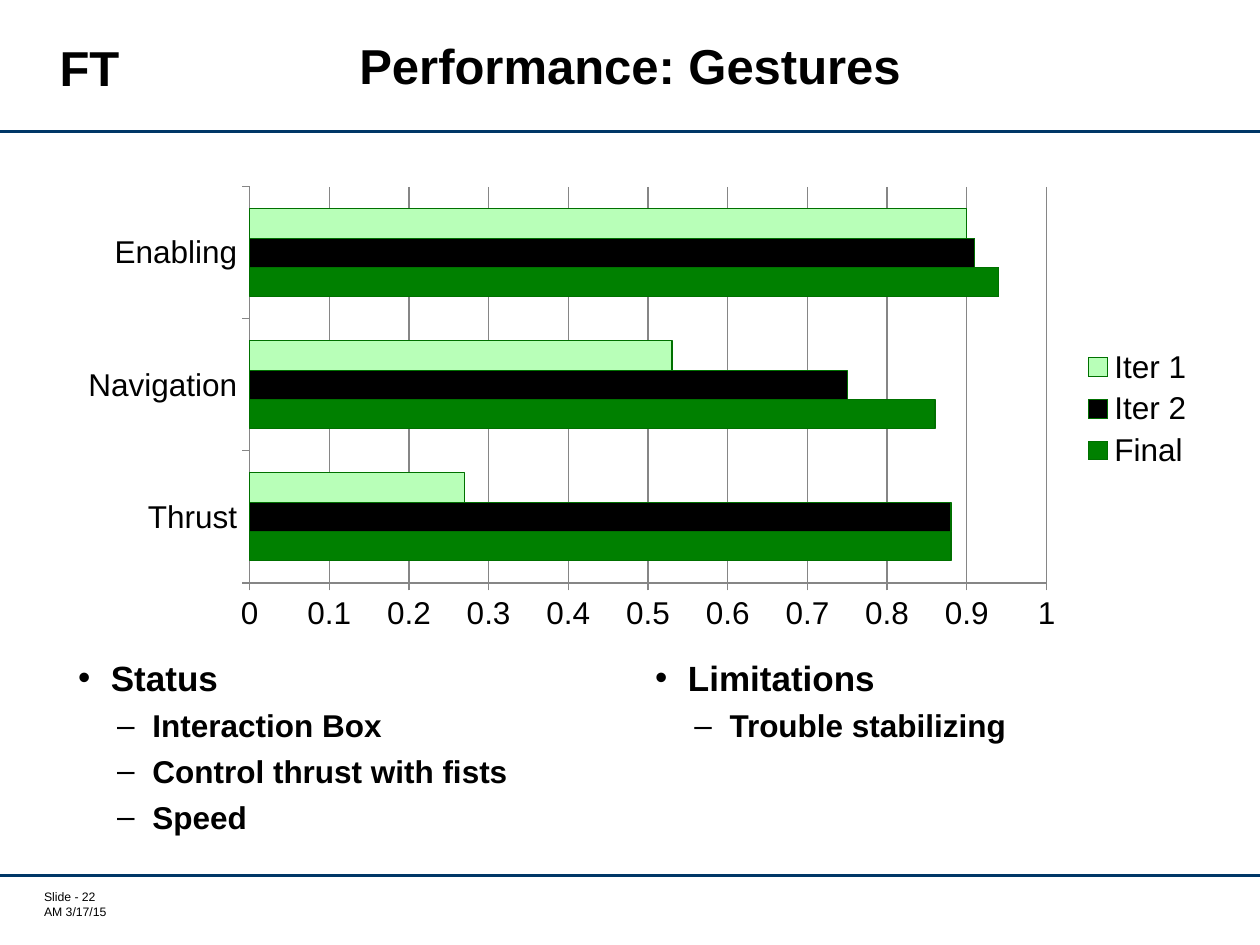
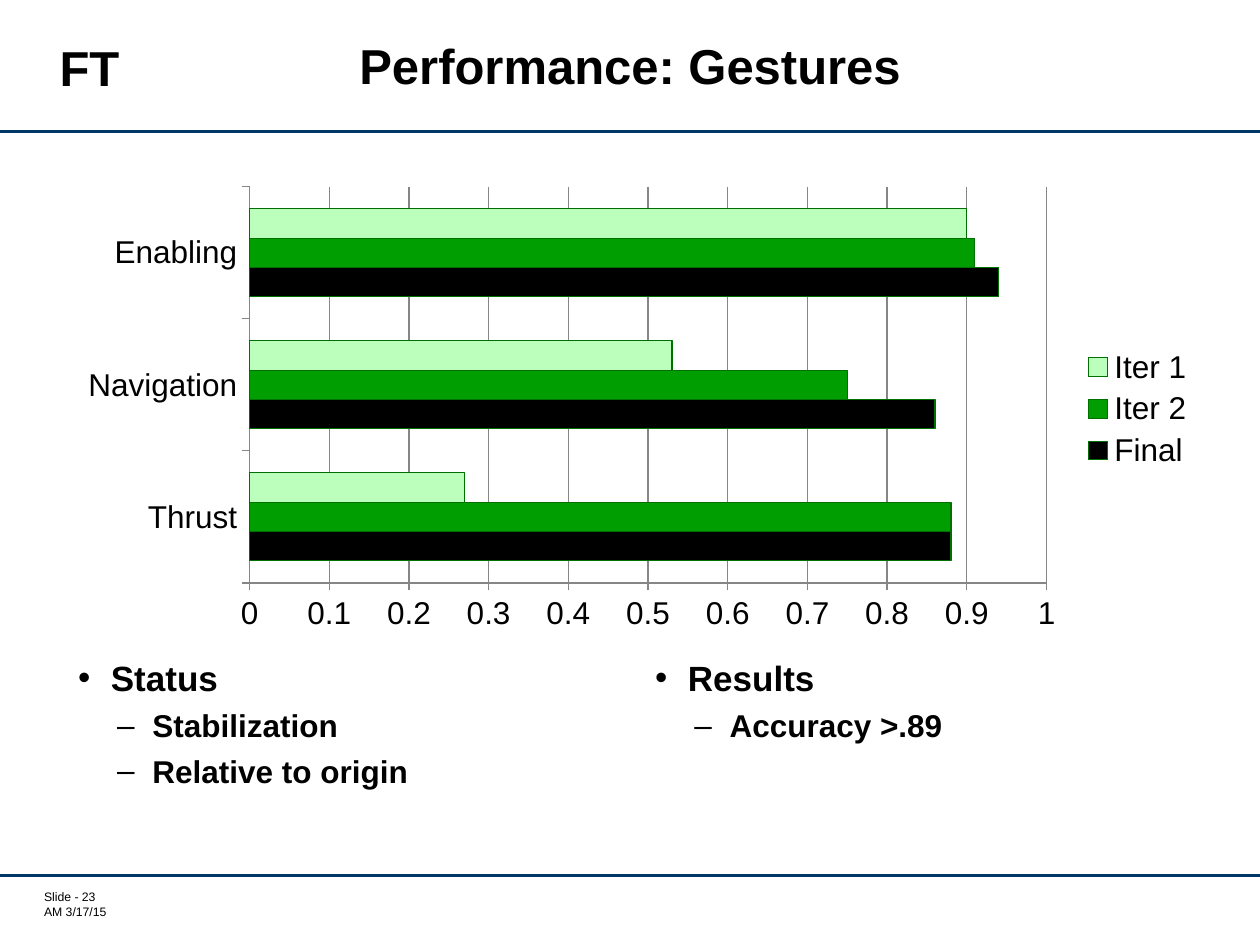
from lxml.etree import SubElement
from pptx import Presentation
from pptx.chart.data import CategoryChartData as ChartData
from pptx.dml.color import RGBColor
from pptx.enum.chart import XL_CHART_TYPE as ChartType
from pptx.enum.chart import XL_LEGEND_POSITION as LegendPosition
from pptx.enum.chart import XL_TICK_MARK as TickMark
from pptx.enum.shapes import MSO_CONNECTOR as Connector
from pptx.enum.text import MSO_ANCHOR as Anchor
from pptx.enum.text import MSO_AUTO_SIZE as AutoSize
from pptx.enum.text import PP_ALIGN as Align
from pptx.oxml.ns import qn
from pptx.util import Inches, Pt

COLORS = {
    "text": "000000",
    "rule": "003767",
    "grid": "868686",
    "outline": "007000",
    "black": "000000",
    "green": "008000",
    "bright": "009E00",
    "pale": "B8FFB8",
    "mint": "BCFFBC",
}
FONT = "Arial"
FIRST_NUMBER = 22

# Positions are percent of the slide's width and height
RULES = (13.87, 92.67)
TITLE = (10.3, 1.47, 79.4, 11.87)
TAG = (1.7, 3.33, 10.8, 7.6)
CHART = (5.2, 18.8, 90.6, 48.93)
LISTS = ((5.2, 69.2, 43.6, 20), (51, 69.2, 43.6, 20))
FOOTER = (3.5, 94.13, 11.9, 3.2)

# Size, line spacing, space before, bullet, left margin and hanging indent
LEVELS = (
    dict(size=20, spacing=22, before=12, bullet="•", margin=0.26, hang=0.26),
    dict(size=18, spacing=20, before=6, bullet="–", margin=0.59, hang=0.28),
)

CATEGORIES = ("Thrust", "Navigation", "Enabling")
SERIES = {
    "Final": (0.88, 0.86, 0.94),
    "Iter 2": (0.88, 0.75, 0.91),
    "Iter 1": (0.27, 0.53, 0.9),
}

SLIDES = (
    {
        "bars": ("green", "black", "pale"),
        "lists": (
            ("Status", "Interaction Box", "Control thrust with fists", "Speed"),
            ("Limitations", "Trouble stabilizing"),
        ),
    },
    {
        "bars": ("black", "bright", "mint"),
        "lists": (
            ("Status", "Stabilization", "Relative to origin"),
            ("Results", "Accuracy >.89"),
        ),
    },
)

presentation = Presentation()
presentation.slide_width, presentation.slide_height = Inches(10), Inches(7.5)


def area(left, top, width, height):
    """Turn percent of the slide into lengths."""
    across = presentation.slide_width / 100
    down = presentation.slide_height / 100
    return [int(left * across), int(top * down), int(width * across), int(height * down)]


def write(frame, text, size, bold=True, align=None, spacing=None,
          before=0, level=0, bullet=None, margin=0, hang=0):
    """Write one paragraph, filling the empty first one if there is one."""
    paragraph = frame.paragraphs[0]
    if paragraph.runs:
        paragraph = frame.add_paragraph()
        paragraph.space_before = Pt(before)
    else:
        paragraph.space_before = Pt(0)
    paragraph.level = level
    if align is not None:
        paragraph.alignment = align
    if spacing:
        paragraph.line_spacing = Pt(spacing)
    if bullet:
        properties = paragraph._p.get_or_add_pPr()
        properties.set("marL", str(Inches(margin)))
        properties.set("indent", str(-Inches(hang)))
        SubElement(properties, qn("a:buChar"), char=bullet)
    run = paragraph.add_run()
    run.text = text
    run.font.name, run.font.size, run.font.bold = FONT, Pt(size), bold
    run.font.color.rgb = RGBColor.from_string(COLORS["text"])


for number, content in enumerate(SLIDES, FIRST_NUMBER):
    slide = presentation.slides.add_slide(presentation.slide_layouts[3])
    title, *bodies = slide.placeholders

    # Rules above and below the content
    for height in RULES:
        left, top, width, _ = area(0, height, 100, 0)
        rule = slide.shapes.add_connector(Connector.STRAIGHT, left, top, left + width, top)
        rule.line.color.rgb = RGBColor.from_string(COLORS["rule"])
        rule.line.width = Pt(1.75)
        SubElement(rule._element.spPr, qn("a:effectLst"))

    # Title
    title.left, title.top, title.width, title.height = area(*TITLE)
    title.text_frame.auto_size = AutoSize.NONE
    title.text_frame.vertical_anchor = Anchor.MIDDLE
    write(title.text_frame, "Performance: Gestures", size=28, align=Align.CENTER, spacing=28)

    # Tag in the corner
    tag = slide.shapes.add_textbox(*area(*TAG))
    tag.text_frame.word_wrap = True
    write(tag.text_frame, "FT", size=28, align=Align.CENTER)

    # Bar chart
    chart_data = ChartData()
    chart_data.categories = CATEGORIES
    for name, values in SERIES.items():
        chart_data.add_series(name, values)
    chart = slide.shapes.add_chart(ChartType.BAR_CLUSTERED, *area(*CHART), chart_data).chart
    chart.has_title = False
    chart.font.name, chart.font.size = FONT, Pt(18)
    chart.font.color.rgb = RGBColor.from_string(COLORS["text"])
    chart.has_legend = True
    chart.legend.position = LegendPosition.RIGHT
    chart.legend.include_in_layout = False

    plot = chart.plots[0]
    plot.gap_width = 150
    plot.vary_by_categories = False
    for series, color in zip(plot.series, content["bars"]):
        series.format.fill.solid()
        series.format.fill.fore_color.rgb = RGBColor.from_string(COLORS[color])
        series.format.line.color.rgb = RGBColor.from_string(COLORS["outline"])
        series.format.line.width = Pt(0.75)

    # Axes and gridlines
    value_axis = chart.value_axis
    value_axis.minimum_scale, value_axis.maximum_scale = 0, 1
    value_axis.major_unit = 0.1
    value_axis.has_major_gridlines = True
    chart.category_axis.has_major_gridlines = False
    for axis in (value_axis, chart.category_axis):
        axis.major_tick_mark = TickMark.OUTSIDE
    for part in (value_axis, chart.category_axis, value_axis.major_gridlines):
        part.format.line.color.rgb = RGBColor.from_string(COLORS["grid"])
        part.format.line.width = Pt(0.75)

    # Lists below the chart
    for body, place, lines in zip(bodies, LISTS, content["lists"]):
        body.left, body.top, body.width, body.height = area(*place)
        body.text_frame.auto_size = AutoSize.NONE
        for index, line in enumerate(lines):
            level = min(index, 1)
            write(body.text_frame, line, level=level, **LEVELS[level])

    # Footer
    footer = slide.shapes.add_textbox(*area(*FOOTER)).text_frame
    footer.word_wrap = True
    footer.margin_left = footer.margin_top = footer.margin_right = footer.margin_bottom = 0
    for line in (f"Slide - {number}", "AM 3/17/15"):
        write(footer, line, size=7, bold=False)

presentation.save("out.pptx")
